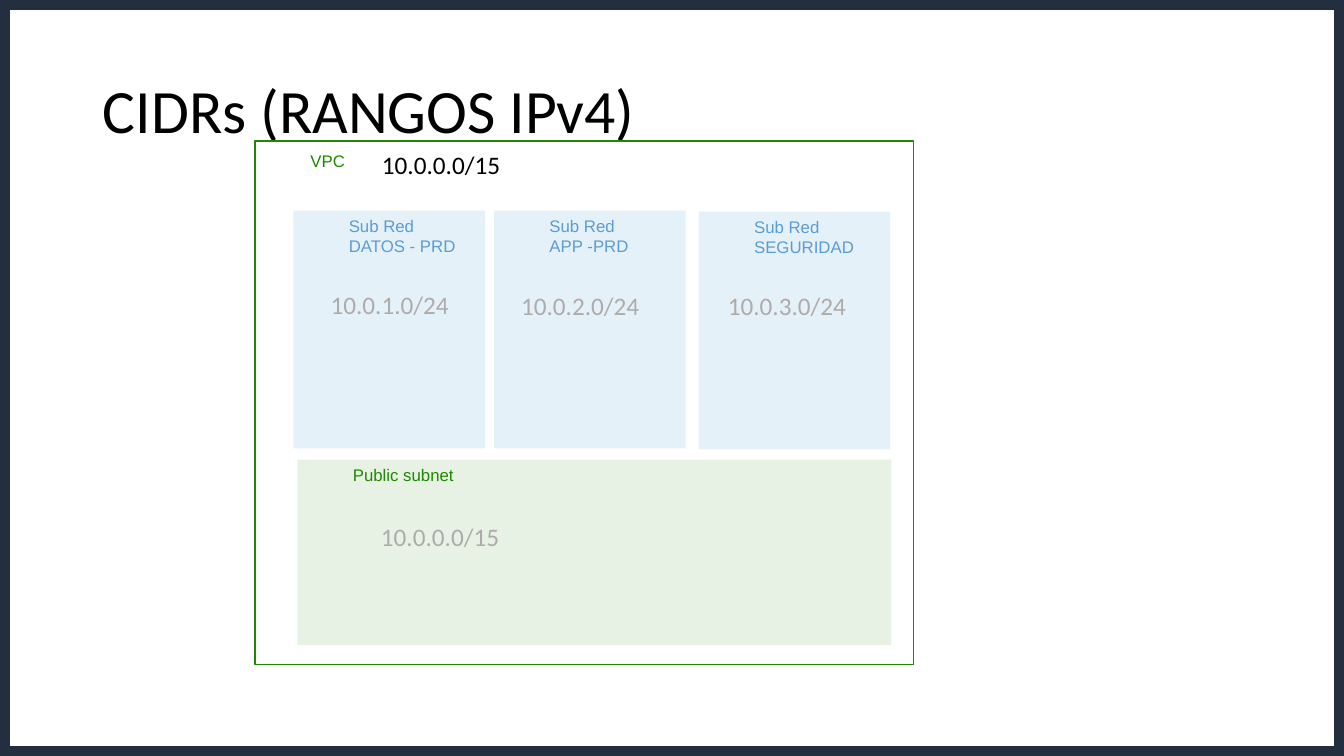
from lxml import etree
from pptx import Presentation
from pptx.dml.color import RGBColor
from pptx.enum.shapes import MSO_SHAPE
from pptx.enum.text import MSO_ANCHOR, MSO_AUTO_SIZE, PP_ALIGN
from pptx.oxml.ns import qn
from pptx.util import Inches, Pt

RECTANGLE = MSO_SHAPE.RECTANGLE
TOP, MIDDLE = MSO_ANCHOR.TOP, MSO_ANCHOR.MIDDLE
LEFT = PP_ALIGN.LEFT
NO_FIT, GROW = MSO_AUTO_SIZE.NONE, MSO_AUTO_SIZE.SHAPE_TO_FIT_TEXT
TITLE_ONLY = 5
WIDTH, HEIGHT = 13.33, 7.5

COLORS = {
    "border": "232F3E",
    "vpc": "1E8900",
    "public_fill": "1D8900",
    "private_fill": "007CBC",
    "private_text": "5B9CD5",
    "text": "000000",
    "muted": "AFABAB",
    "background": "FFFFFF",
}

PRIVATE_SUBNETS = [
    ((2.91, 2.09), ["Sub Red DATOS - PRD"], "10.0.1.0/24", (0.27, 0.73)),
    ((4.9, 2.09), ["Sub Red", "APP -PRD"], "10.0.2.0/24", (0.17, 0.74)),
    ((6.93, 2.1), ["Sub Red SEGURIDAD"], "10.0.3.0/24", (0.19, 0.73)),
]


def color(name):
    return RGBColor.from_string(COLORS[name])


def style_paragraph(paragraph, size, font_name, color_name):
    paragraph.alignment = LEFT
    paragraph.font.size = Pt(size)
    paragraph.font.name = font_name
    paragraph.font.color.rgb = color(color_name)


def add_rectangle(slide, box, fill=None, line=None, line_width=1):
    shape = slide.shapes.add_shape(RECTANGLE, *map(Inches, box))
    shape.shadow.inherit = False
    if fill:
        shape.fill.solid()
        shape.fill.fore_color.rgb = color(fill)
        fill_color = shape.fill._xPr.find(qn("a:solidFill"))[0]
        etree.SubElement(fill_color, qn("a:alpha"), val="10000")
    else:
        shape.fill.background()
    if line:
        shape.line.color.rgb = color(line)
        shape.line.width = Pt(line_width)
    else:
        shape.line.fill.background()
    return shape


def label_group(shape, lines, color_name, top_inset=0.05):
    frame = shape.text_frame
    frame.word_wrap = True
    frame.vertical_anchor = TOP
    frame.margin_left, frame.margin_right = Inches(0.55), Inches(0.1)
    frame.margin_top, frame.margin_bottom = Inches(top_inset), Inches(0.05)
    frame.text = "\n".join(lines)
    for paragraph in frame.paragraphs:
        style_paragraph(paragraph, 12, "Arial", color_name)


def add_cidr(slide, box, offset, cidr, color_name="muted"):
    left, top = box[0] + offset[0], box[1] + offset[1]
    text_box = slide.shapes.add_textbox(
        Inches(left), Inches(top), Inches(1.39), Inches(0.4))
    frame = text_box.text_frame
    frame.word_wrap = False
    frame.auto_size = GROW
    frame.text = cidr
    style_paragraph(frame.paragraphs[0], 18, "Calibri", color_name)


def add_title(slide, box):
    title = slide.shapes.title
    title.left, title.top, title.width, title.height = map(Inches, box)
    frame = title.text_frame
    frame.text = "CIDRs (RANGOS IPv4)"
    frame.word_wrap = True
    frame.auto_size = NO_FIT
    frame.vertical_anchor = MIDDLE
    paragraph = frame.paragraphs[0]
    paragraph.line_spacing = 0.9
    style_paragraph(paragraph, 44, "Calibri", "text")


def add_vpc(slide, box):
    vpc = add_rectangle(slide, box, line="vpc")
    label_group(vpc, ["VPC"], "vpc", top_inset=0.1)
    add_cidr(slide, box, (1.16, 0.03), "10.0.0.0/15", "text")


def add_private_subnet(slide, box, lines, cidr, offset):
    subnet = add_rectangle(slide, box, fill="private_fill")
    label_group(subnet, lines, "private_text")
    add_cidr(slide, box, offset, cidr)


def add_public_subnet(slide, box):
    subnet = add_rectangle(slide, box, fill="public_fill")
    label_group(subnet, ["Public subnet"], "vpc")
    add_cidr(slide, box, (0.73, 0.56), "10.0.0.0/15")


def main():
    presentation = Presentation()
    presentation.slide_width = Inches(WIDTH)
    presentation.slide_height = Inches(HEIGHT)
    slide = presentation.slides.add_slide(presentation.slide_layouts[TITLE_ONLY])
    slide.background.fill.solid()
    slide.background.fill.fore_color.rgb = color("background")

    add_rectangle(slide, (0, 0, WIDTH, HEIGHT), line="border", line_width=14)
    add_title(slide, (0.92, 0.4, 11.5, 1.45))
    add_vpc(slide, (2.53, 1.4, 6.53, 5.19))
    for corner, lines, cidr, offset in PRIVATE_SUBNETS:
        add_private_subnet(slide, (*corner, 1.9, 2.36), lines, cidr, offset)
    add_public_subnet(slide, (2.95, 4.56, 5.89, 1.84))

    presentation.save("out.pptx")


if __name__ == "__main__":
    main()
